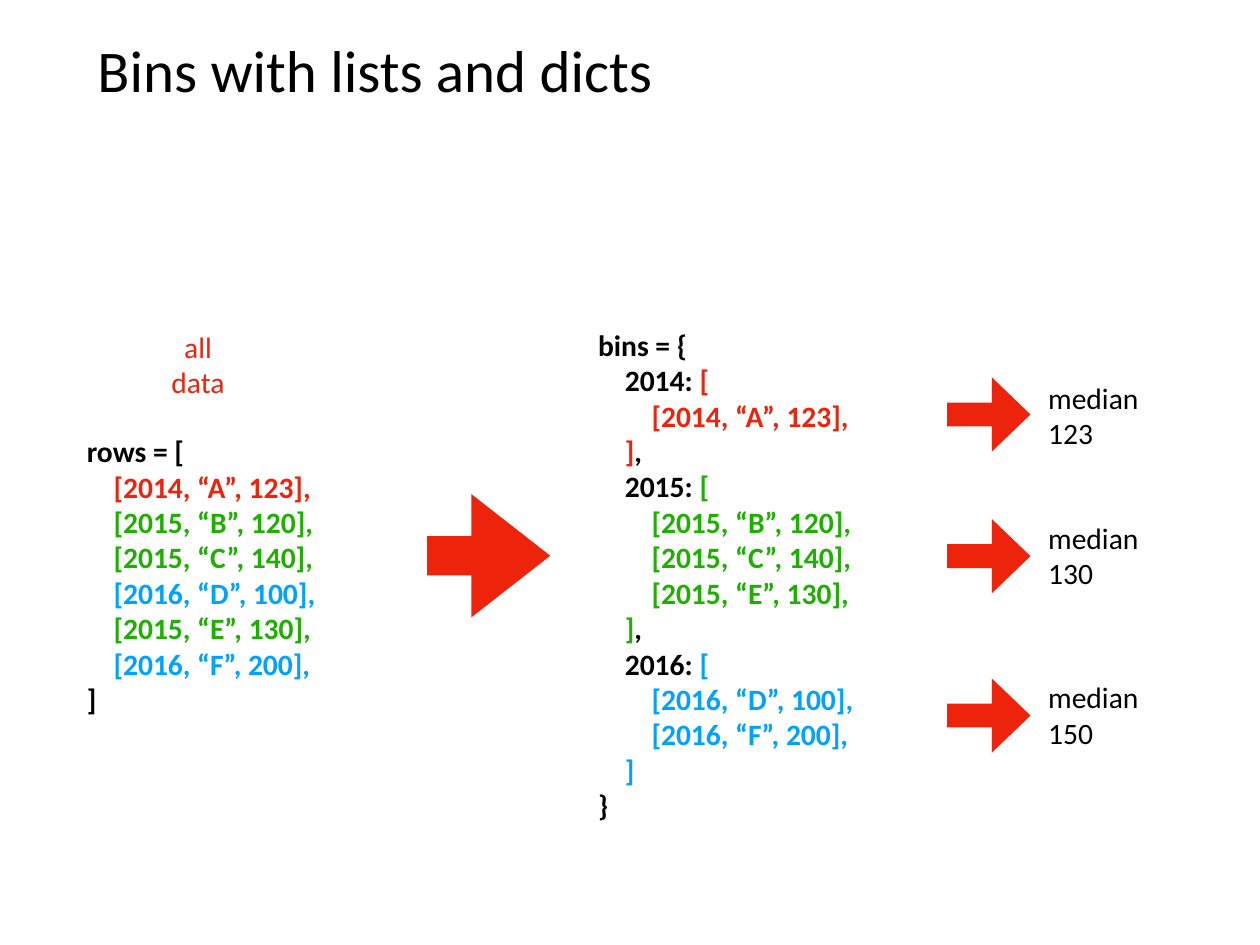
from dataclasses import dataclass

from pptx import Presentation
from pptx.dml.color import RGBColor
from pptx.enum.shapes import MSO_SHAPE
from pptx.enum.text import MSO_ANCHOR, MSO_AUTO_SIZE, PP_ALIGN
from pptx.slide import Slide
from pptx.text.text import TextFrame
from pptx.util import Emu, Pt

RIGHT_ARROW = MSO_SHAPE.RIGHT_ARROW
MIDDLE = MSO_ANCHOR.MIDDLE
NO_AUTOFIT = MSO_AUTO_SIZE.NONE
LEFT, CENTER = PP_ALIGN.LEFT, PP_ALIGN.CENTER

BLACK = RGBColor(0x00, 0x00, 0x00)
RED = RGBColor(0xEE, 0x23, 0x0C)
GREEN = RGBColor(0x1E, 0xB0, 0x01)
BLUE = RGBColor(0x00, 0xA2, 0xFF)

FONT = "Calibri"
EMU_PER_PX = 9144  # 100 px to the inch
INDENT = "    "


def px(length: int) -> Emu:
    return Emu(length * EMU_PER_PX)


@dataclass(frozen=True)
class Box:
    left: int
    top: int
    width: int
    height: int

    def emu(self) -> tuple[Emu, Emu, Emu, Emu]:
        return px(self.left), px(self.top), px(self.width), px(self.height)


@dataclass(frozen=True)
class TextRun:
    text: str
    color: RGBColor = BLACK


@dataclass(frozen=True)
class DataRow:
    year: int
    name: str
    value: int

    def code(self, depth: int) -> list[TextRun]:
        text = f"{INDENT * depth}[{self.year}, “{self.name}”, {self.value}],"
        return [TextRun(text, YEAR_COLORS[self.year])]


@dataclass(frozen=True)
class Median:
    value: int
    arrow_top: int
    label_top: int


CodeLine = list[TextRun]

YEAR_COLORS = {2014: RED, 2015: GREEN, 2016: BLUE}
DATA_ROWS = [
    DataRow(2014, "A", 123),
    DataRow(2015, "B", 120),
    DataRow(2015, "C", 140),
    DataRow(2016, "D", 100),
    DataRow(2015, "E", 130),
    DataRow(2016, "F", 200),
]
MEDIANS = [Median(123, 426, 444), Median(130, 586, 602), Median(150, 766, 782)]


def rows_code() -> list[CodeLine]:
    rows = [row.code(1) for row in DATA_ROWS]
    return [[TextRun("rows = [")], *rows, [TextRun("]")]]


def bins_code() -> list[CodeLine]:
    lines = [[TextRun("bins = {")]]
    last_year = max(YEAR_COLORS)
    for year, color in YEAR_COLORS.items():
        lines.append([TextRun(f"{INDENT}{year}: "), TextRun("[", color)])
        lines += [row.code(2) for row in DATA_ROWS if row.year == year]
        closing = [TextRun(f"{INDENT}]", color)]
        if year != last_year:
            closing.append(TextRun(","))
        lines.append(closing)
    return lines + [[TextRun("}")]]


def prepare_frame(frame: TextFrame) -> None:
    frame.word_wrap = True
    frame.auto_size = NO_AUTOFIT
    frame.vertical_anchor = MIDDLE
    frame.margin_left = frame.margin_right = px(6)
    frame.margin_top = frame.margin_bottom = px(6)


def add_run(paragraph, text_run: TextRun, size: int = 24, bold: bool = False) -> None:
    run = paragraph.add_run()
    run.text = text_run.text
    run.font.name = FONT
    run.font.size = Pt(size)
    run.font.bold = bold
    run.font.color.rgb = text_run.color


def add_title(slide: Slide, text: str, box: Box) -> None:
    title = slide.shapes.title
    title.left, title.top, title.width, title.height = box.emu()
    prepare_frame(title.text_frame)
    paragraph = title.text_frame.paragraphs[0]
    paragraph.alignment = LEFT
    add_run(paragraph, TextRun(text), size=48)


def add_code(slide: Slide, lines: list[CodeLine], box: Box) -> None:
    frame = slide.shapes.add_textbox(*box.emu()).text_frame
    prepare_frame(frame)
    for index, line in enumerate(lines):
        paragraph = frame.add_paragraph() if index else frame.paragraphs[0]
        paragraph.line_spacing = Pt(28.8)
        for text_run in line:
            add_run(paragraph, text_run, bold=True)


def add_label(slide: Slide, words: list[str], box: Box,
              color: RGBColor = BLACK, alignment: PP_ALIGN = LEFT) -> None:
    frame = slide.shapes.add_textbox(*box.emu()).text_frame
    prepare_frame(frame)
    paragraph = frame.paragraphs[0]
    paragraph.alignment = alignment
    paragraph.line_spacing = Pt(28.8)
    for index, word in enumerate(words):
        if index:
            paragraph.add_line_break()
        add_run(paragraph, TextRun(word, color))


def add_arrow(slide: Slide, box: Box, shaft: float, head: float) -> None:
    arrow = slide.shapes.add_shape(RIGHT_ARROW, *box.emu())
    arrow.adjustments[0] = shaft
    arrow.adjustments[1] = head
    arrow.fill.solid()
    arrow.fill.fore_color.rgb = RED
    arrow.line.fill.background()
    arrow.shadow.inherit = False


def main() -> None:
    presentation = Presentation()
    presentation.slide_width = px(1422)
    presentation.slide_height = px(1067)
    slide = presentation.slides.add_slide(presentation.slide_layouts[5])

    add_title(slide, "Bins with lists and dicts", Box(104, 28, 1214, 99))

    # All rows, then the same rows grouped by year
    add_label(slide, ["all", "data"], Box(170, 386, 107, 50), RED, CENTER)
    add_code(slide, rows_code(), Box(92, 488, 345, 322))
    add_arrow(slide, Box(482, 558, 139, 139), 0.32, 0.64)
    add_code(slide, bins_code(), Box(669, 371, 385, 556))

    # Median of each bin
    for median in MEDIANS:
        add_arrow(slide, Box(1069, median.arrow_top, 94, 84), 0.32, 0.52)
        add_label(slide, ["median", str(median.value)],
                  Box(1177, median.label_top, 169, 50))

    presentation.save("out.pptx")


if __name__ == "__main__":
    main()
